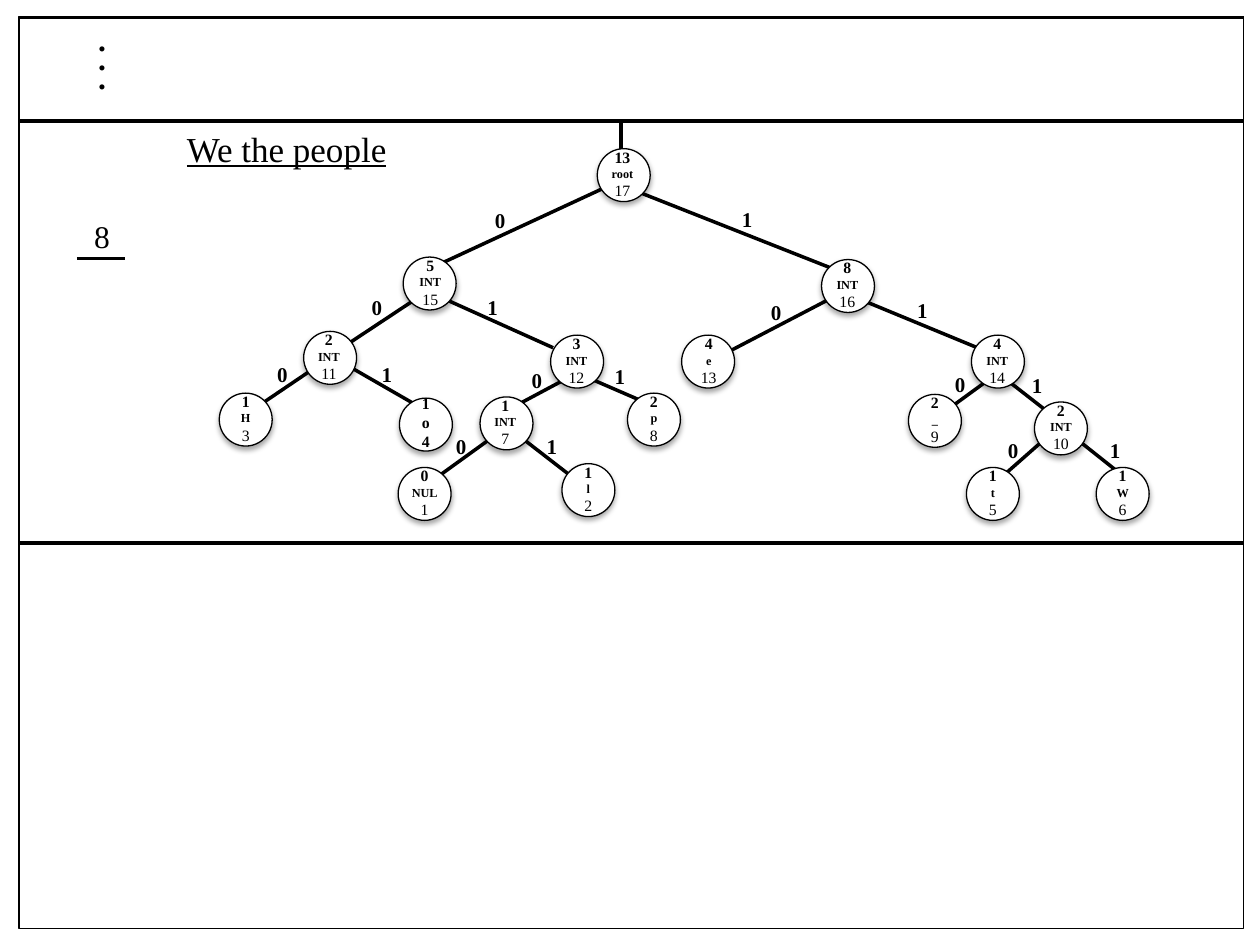
from lxml import etree
from pptx import Presentation
from pptx.dml.color import RGBColor
from pptx.enum.shapes import MSO_CONNECTOR, MSO_SHAPE
from pptx.enum.text import MSO_AUTO_SIZE, PP_ALIGN
from pptx.oxml import parse_xml
from pptx.oxml.ns import nsdecls, qn
from pptx.util import Pt

PX = 9144
COLORS = {"ink": "000000", "paper": "FFFFFF"}
INK = RGBColor.from_string(COLORS["ink"])
PAPER = RGBColor.from_string(COLORS["paper"])
FONT = "Times New Roman"
NODE_SIZE = 42
SHADOW = (
    f'<a:effectLst {nsdecls("a")}>'
    f'<a:outerShdw blurRad="{Pt(3.1)}" dist="{Pt(1.8)}" dir="5400000" rotWithShape="0">'
    f'<a:srgbClr val="{COLORS["ink"]}"><a:alpha val="35000"/></a:srgbClr>'
    "</a:outerShdw></a:effectLst>"
)

deck = Presentation()
deck.slide_width = 1000 * PX
deck.slide_height = 750 * PX
page = deck.slides.add_slide(deck.slide_layouts[6])


def add_line(x1, y1, x2, y2):
    line = page.shapes.add_connector(
        MSO_CONNECTOR.STRAIGHT, x1 * PX, y1 * PX, x2 * PX, y2 * PX
    )
    line.line.color.rgb = INK
    line.line.width = Pt(2)
    etree.SubElement(line._element.spPr, qn("a:effectLst"))


def add_text(left, top, width, height, rows, align=PP_ALIGN.CENTER,
             underline=False, spacing=None):
    box = page.shapes.add_textbox(left * PX, top * PX, width * PX, height * PX)
    frame = box.text_frame
    frame.word_wrap = True
    frame.auto_size = MSO_AUTO_SIZE.SHAPE_TO_FIT_TEXT
    for index, (text, size, bold) in enumerate(rows):
        para = frame.add_paragraph() if index else frame.paragraphs[0]
        para.alignment = align
        para.line_spacing = spacing
        span = para.add_run()
        span.text = text
        span.font.name = FONT
        span.font.size = Pt(size)
        span.font.bold = bold
        span.font.underline = underline
        span.font.color.rgb = INK


border = page.shapes.add_shape(
    MSO_SHAPE.RECTANGLE, 15 * PX, 13 * PX, 972 * PX, 724 * PX
)
border.shadow.inherit = False
border.fill.background()
border.line.color.rgb = INK
border.line.width = Pt(0.75)

for rule_y in (14, 96, 431):
    add_line(16, rule_y, 987, rule_y)

add_text(53, 24, 56, 58, [(".", 18, True)] * 3, spacing=0.5)
add_text(18, 96, 419, 44, [("We the people", 20, False)], underline=True)
add_text(44, 167, 74, 40, [("8", 18, False)])
add_line(61, 205, 99, 205)

branches = [
    (493, 138, 493, 97),
    (346, 211, 482, 148),
    (678, 220, 488, 145),
    (261, 283, 332, 236),
    (439, 276, 350, 236),
    (198, 327, 269, 279),
    (253, 277, 333, 323),
    (400, 327, 458, 296),
    (458, 296, 525, 325),
    (330, 391, 402, 339),
    (403, 339, 465, 387),
    (567, 285, 661, 236),
    (783, 279, 674, 234),
    (744, 331, 792, 296),
    (792, 296, 833, 328),
    (790, 383, 849, 331),
    (840, 337, 898, 383),
]
for branch in branches:
    add_line(*branch)

nodes = [
    (474, 118, "13", "root", "17", 473, 42),
    (320, 204, "5", "INT", "15", 257, 169),
    (652, 206, "8", "INT", "16", 588, 169),
    (241, 263, "2", "INT", "11", 240, 42),
    (437, 266, "3", "INT", "12", 354, 207),
    (541, 266, "4", "e", "13", 459, 207),
    (771, 266, "4", "INT", "14", 688, 207),
    (174, 312, "1", "H", "3", 174, 42),
    (317, 316, "1", "o", "4", 317, 42),
    (381, 315, "1", "INT", "7", 380, 42),
    (498, 312, "2", "p", "8", 498, 42),
    (721, 313, "2", "_", "9", 721, 42),
    (821, 319, "2", "INT", "10", 821, 42),
    (316, 371, "0", "NUL", "1", 316, 42),
    (446, 368, "1", "l", "2", 446, 42),
    (767, 371, "1", "t", "5", 767, 42),
    (870, 371, "1", "W", "6", 870, 42),
]
for left, top, weight, symbol, number, text_left, text_width in nodes:
    circle = page.shapes.add_shape(
        MSO_SHAPE.OVAL, left * PX, top * PX, NODE_SIZE * PX, NODE_SIZE * PX
    )
    circle.fill.solid()
    circle.fill.fore_color.rgb = PAPER
    circle.line.color.rgb = INK
    circle.line.width = Pt(0.75)
    circle._element.spPr.append(parse_xml(SHADOW))
    emphasized = symbol == "o"
    rows = [
        (weight, 9, True),
        (symbol, 9 if emphasized else 7, True),
        (number, 9, emphasized),
    ]
    text_top = top - (8 if emphasized else 6)
    add_text(text_left, text_top, text_width, 56 if emphasized else 52, rows)

bits = {
    "0": [(383, 160), (285, 229), (210, 282), (602, 233),
          (412, 287), (352, 339), (748, 290), (790, 342)],
    "1": [(718, 231), (579, 159), (377, 229), (478, 284),
          (871, 342), (809, 291), (424, 339), (293, 282)],
}
for bit, places in bits.items():
    for left, top in places:
        add_text(left, top, 39, 30, [(bit, 12, True)], align=PP_ALIGN.LEFT)

deck.save("out.pptx")
